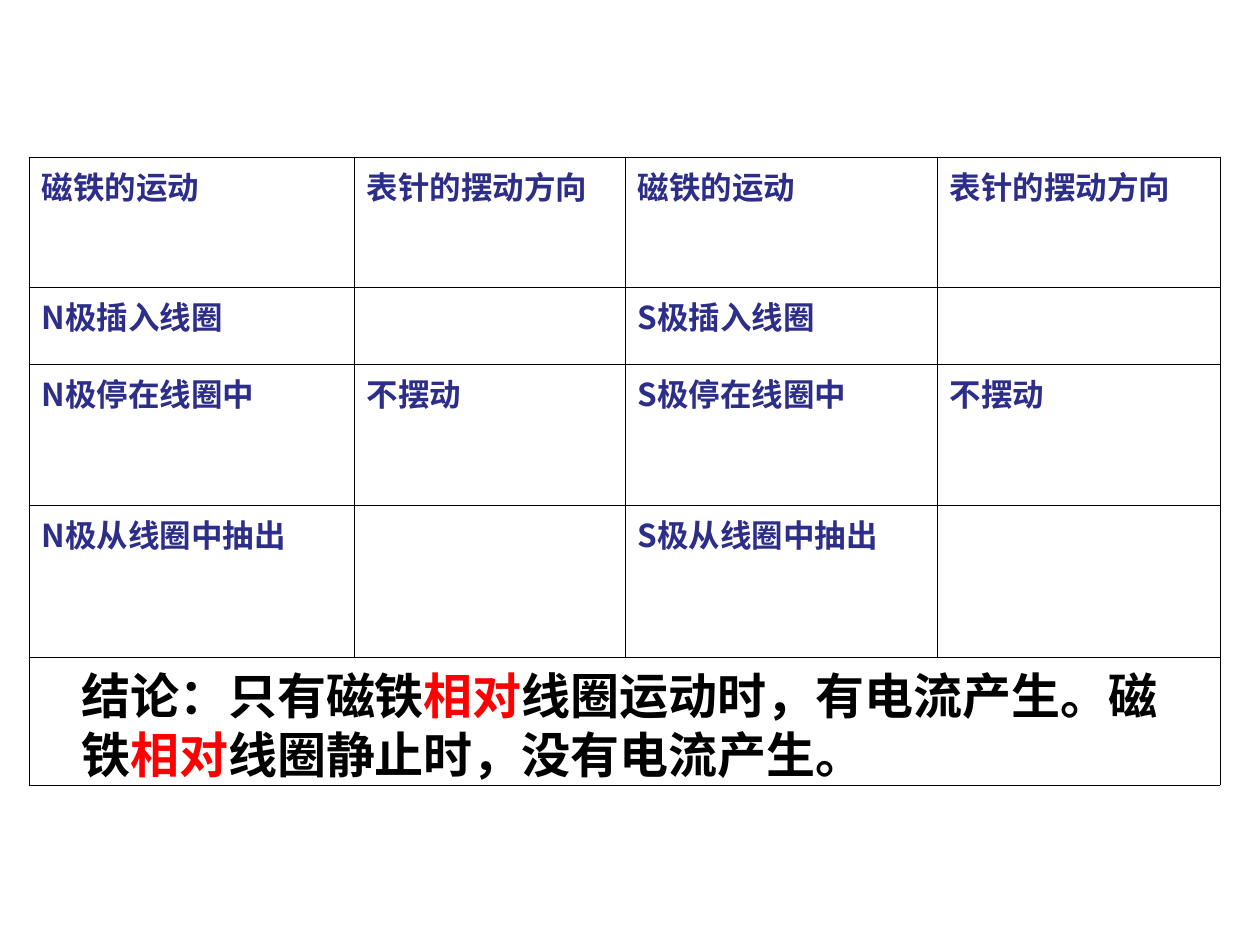
from pptx import Presentation
from pptx.dml.color import RGBColor
from pptx.enum.text import MSO_AUTO_SIZE
from pptx.oxml.ns import qn
from pptx.util import Pt
from lxml.etree import SubElement

PX = 914400 // 126
FONT = "Noto Sans CJK SC"
COLORS = {"table": "2D2D8A", "conclusion": "000000", "emphasis": "FF0000",
          "border": "000000"}
COLUMN_WIDTHS = [325, 271, 312, 283]
ROW_HEIGHTS = [130, 77, 141, 152, 128]

HEADERS = ["磁铁的运动", "表针的摆动方向"]
ACTIONS = [("极插入线圈", ""), ("极停在线圈中", "不摆动"), ("极从线圈中抽出", "")]
OBSERVATIONS = [HEADERS * 2] + [
    ["N" + motion, needle, "S" + motion, needle] for motion, needle in ACTIONS]
CONCLUSION = [
    ("结论：只有磁铁", "conclusion"),
    ("相对", "emphasis"),
    ("线圈运动时，有电流产生。磁铁", "conclusion"),
    ("相对", "emphasis"),
    ("线圈静止时，没有电流产生。", "conclusion"),
]


class SlideBuilder:
    def __init__(self, slide):
        self.slide = slide

    def run(self, paragraph, text, size, color):
        run = paragraph.add_run()
        run.text = text
        font = run.font
        font.name, font.size, font.bold = FONT, Pt(size), True
        font.color.rgb = RGBColor.from_string(COLORS[color])
        SubElement(font._element, qn("a:ea"), typeface=FONT)

    def borders(self, cell):
        properties = cell._tc.get_or_add_tcPr()
        for index, side in enumerate(("lnL", "lnR", "lnT", "lnB")):
            line = SubElement(properties, qn("a:" + side), w=str(Pt(0.45)))
            fill = SubElement(line, qn("a:solidFill"))
            SubElement(fill, qn("a:srgbClr"), val=COLORS["border"])
            properties.insert(index, line)

    def table(self, left, top, widths, heights, rows):
        """Draw a ruled table; rows beyond the given texts become one merged cell."""
        frame = self.slide.shapes.add_table(
            len(heights), len(widths), left * PX, top * PX,
            sum(widths) * PX, sum(heights) * PX)
        table = frame.table
        table.first_row = table.horz_banding = False
        for column, width in zip(table.columns, widths):
            column.width = width * PX
        for row, height in zip(table.rows, heights):
            row.height = height * PX
        for cell in table.iter_cells():
            cell.fill.background()
            self.borders(cell)
        for row, texts in zip(table.rows, rows):
            for cell, text in zip(row.cells, texts):
                if text:
                    self.run(cell.text_frame.paragraphs[0], text, 18, "table")
        for index in range(len(rows), len(heights)):
            table.cell(index, 0).merge(table.cell(index, len(widths) - 1))

    def text(self, left, top, width, height, runs):
        box = self.slide.shapes.add_textbox(
            left * PX, top * PX, width * PX, height * PX)
        frame = box.text_frame
        frame.word_wrap = True
        frame.auto_size = MSO_AUTO_SIZE.NONE
        frame.margin_top = frame.margin_bottom = 6 * PX
        paragraph = frame.paragraphs[0]
        paragraph.line_spacing = Pt(33.7)
        for text, color in runs:
            self.run(paragraph, text, 28, color)


def main():
    presentation = Presentation()
    presentation.slide_width = 1260 * PX
    presentation.slide_height = 945 * PX
    blank_layout = presentation.slide_layouts[6]
    builder = SlideBuilder(presentation.slides.add_slide(blank_layout))

    builder.table(29, 157, COLUMN_WIDTHS, ROW_HEIGHTS, OBSERVATIONS)
    builder.text(69, 659, 1131, 189, CONCLUSION)

    presentation.save("out.pptx")


if __name__ == "__main__":
    main()
